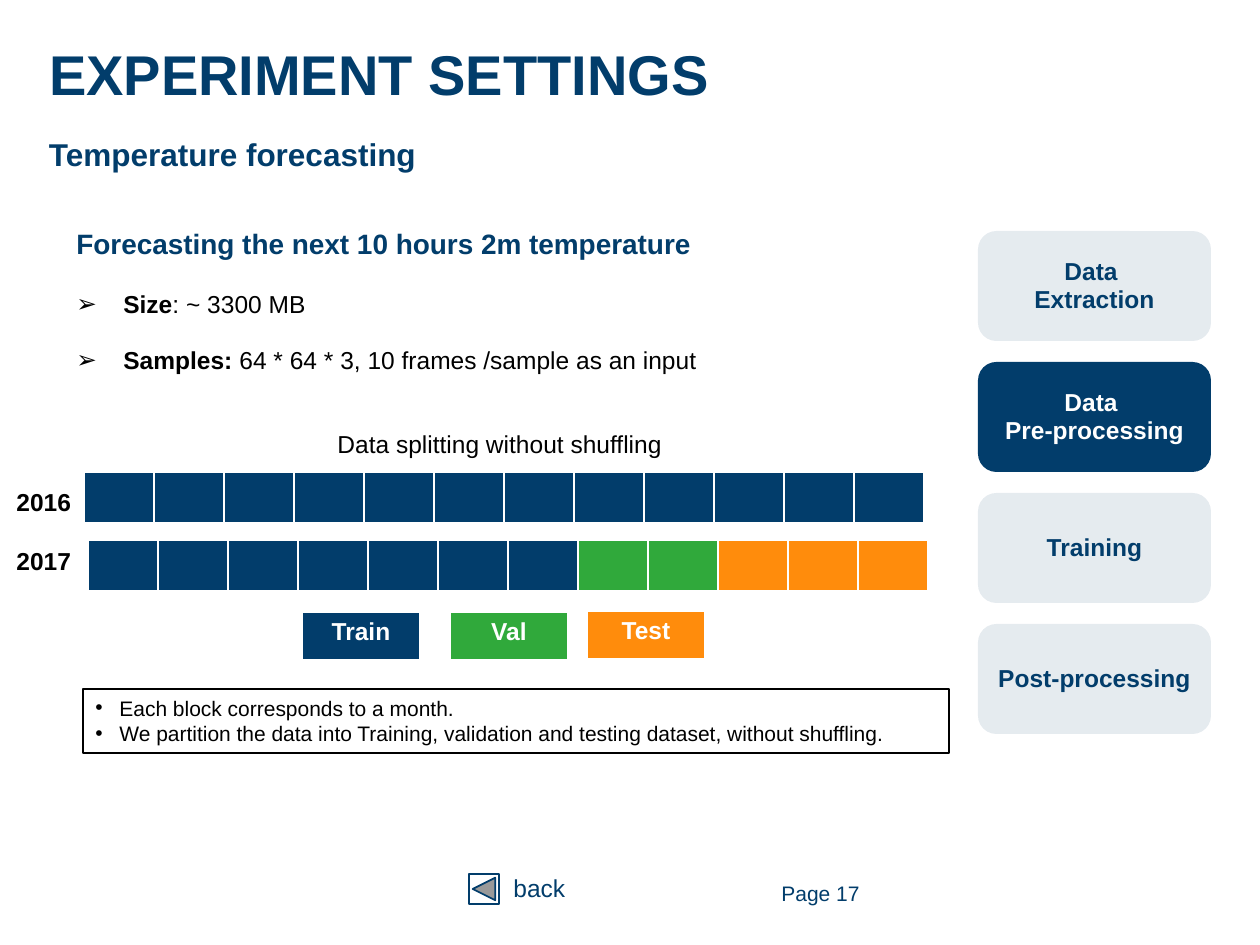
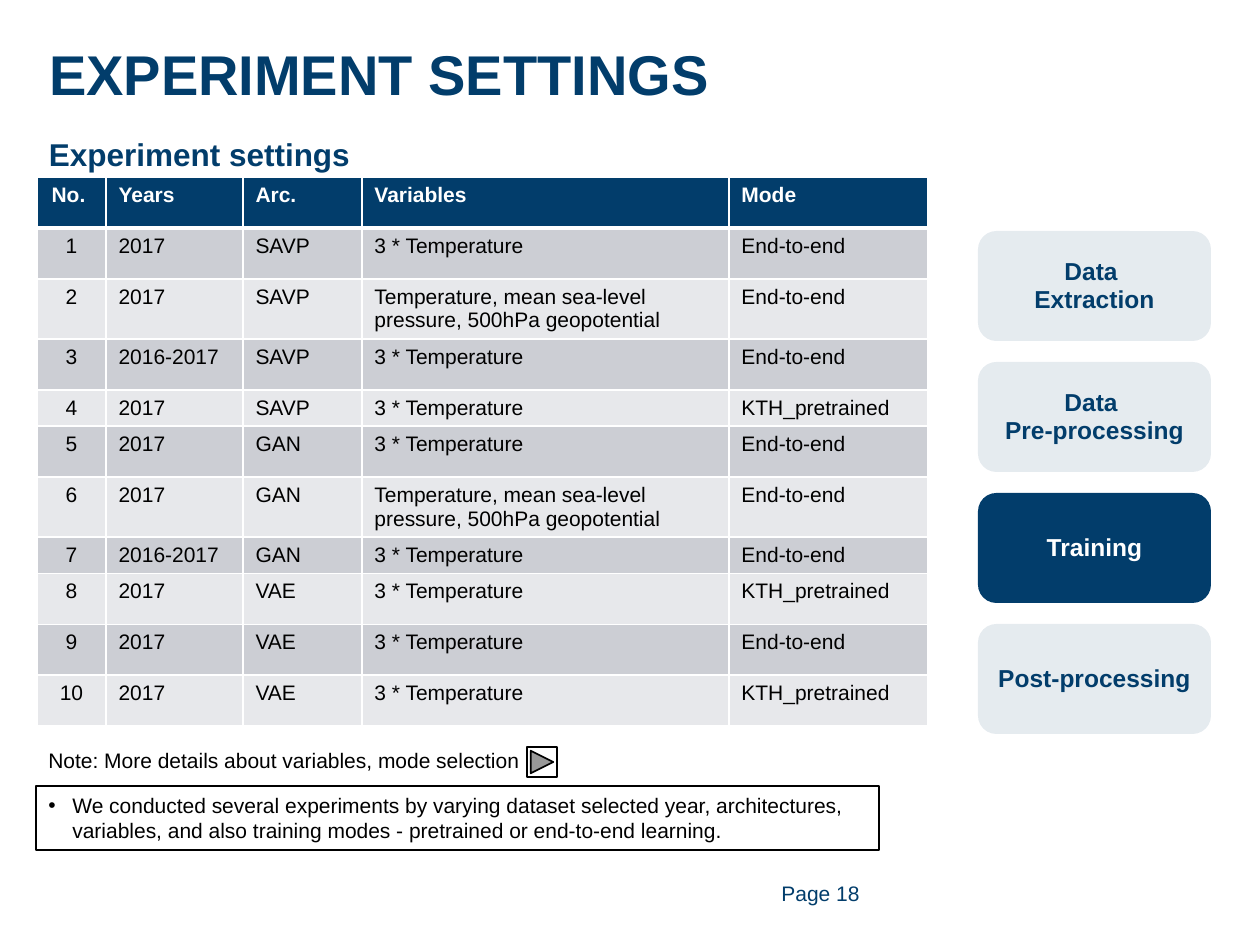
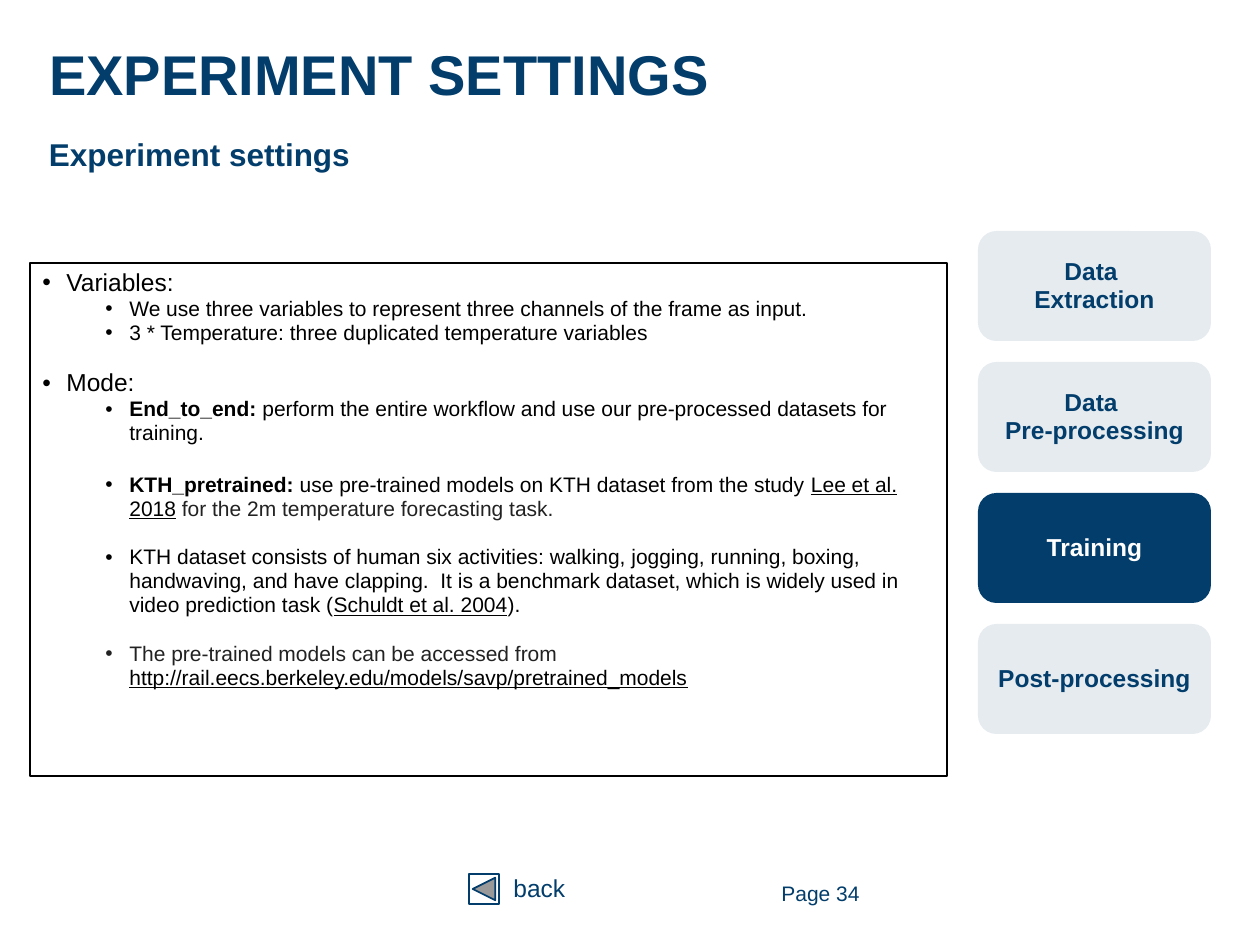
from lxml.etree import SubElement
from pptx import Presentation
from pptx.dml.color import RGBColor
from pptx.enum.shapes import MSO_SHAPE as Preset
from pptx.enum.text import MSO_ANCHOR as Anchor, MSO_AUTO_SIZE as AutoSize, PP_ALIGN as Align
from pptx.oxml.ns import qn
from pptx.util import Emu, Pt

COLORS = {
    "navy": "023D6B", "green": "30A93B", "orange": "FF8C0C", "white": "FFFFFF",
    "black": "000000", "gray": "222222", "band_dark": "CCCED4", "band_light": "E7E8EB",
}
FONT = "Arial"
STEPS = [["Data ", "Extraction"], ["Data ", "Pre-processing"], ["Training"], ["Post-processing"]]
THREE_TEMPERATURES = "3 * Temperature"
THREE_VARIABLES = "Temperature, mean sea-level pressure, 500hPa geopotential"
EXPERIMENTS = [
    ["No. ", "Years", "Arc.", "Variables", "Mode"],
    ["1", "2017", "SAVP", THREE_TEMPERATURES, "End-to-end"],
    ["2", "2017", "SAVP", THREE_VARIABLES, "End-to-end"],
    ["3", "2016-2017", "SAVP", THREE_TEMPERATURES, "End-to-end"],
    ["4", "2017", "SAVP", THREE_TEMPERATURES, "KTH_pretrained"],
    ["5", "2017", "GAN", THREE_TEMPERATURES, "End-to-end"],
    ["6", "2017", "GAN", THREE_VARIABLES, "End-to-end"],
    ["7", "2016-2017", "GAN", THREE_TEMPERATURES, "End-to-end"],
    ["8", "2017", "VAE", THREE_TEMPERATURES, "KTH_pretrained"],
    ["9", "2017", "VAE", THREE_TEMPERATURES, "End-to-end"],
    ["10", "2017", "VAE", THREE_TEMPERATURES, "KTH_pretrained"],
]


def px(length):
    """Turn pixels, 126 to the inch, into EMU."""
    return Emu(round(length * 914400 / 126))


def rgb(name):
    """Look up a named colour."""
    return RGBColor.from_string(COLORS[name])


def set_bullet(para, bullet, indent, hanging):
    """Give a paragraph a bullet with a hanging indent."""
    props = para._p.get_or_add_pPr()
    props.set("marL", str(px(indent)))
    props.set("indent", str(-px(hanging)))
    SubElement(props, qn("a:buFont"), typeface=FONT)
    SubElement(props, qn("a:buChar"), char=bullet)


def add_text(frame, text, size=14, color="black", bold=False, align=Align.LEFT, spacing=0.95,
             before=0, bullet=None, indent=24, hanging=24, level=0):
    """Write one paragraph; text is a string or a list of (string, format) spans."""
    para = frame.paragraphs[0] if not frame.text else frame.add_paragraph()
    para.level = level
    if bullet:
        set_bullet(para, bullet, indent, hanging)
    para.alignment = align
    para.line_spacing = spacing
    para.space_before = Pt(before)
    for words, style in [(text, {})] if isinstance(text, str) else text:
        span = para.add_run()
        span.text = words
        span.font.name = FONT
        span.font.size = Pt(size)
        span.font.bold = style.get("bold", bold)
        span.font.underline = style.get("underline", False)
        span.font.color.rgb = rgb(style.get("color", color))


def prepare_frame(shape, anchor=Anchor.TOP, inset=None):
    """Make a shape's text wrap inside a fixed frame and return the frame."""
    frame = shape.text_frame
    frame.word_wrap = True
    frame.auto_size = AutoSize.NONE
    frame.vertical_anchor = anchor
    if inset is not None:
        frame.margin_left = frame.margin_top = frame.margin_right = frame.margin_bottom = px(inset)
    return frame


def add_box(slide, left, top, width, height, anchor=Anchor.TOP, inset=None):
    """Add a text box and return its frame."""
    box = slide.shapes.add_textbox(px(left), px(top), px(width), px(height))
    return prepare_frame(box, anchor, inset)


def add_preset(slide, preset, left, top, width, height, fill=None, line=None, weight=1.0):
    """Add a flat preset shape."""
    shape = slide.shapes.add_shape(preset, px(left), px(top), px(width), px(height))
    shape.shadow.inherit = False
    if fill:
        shape.fill.solid()
        shape.fill.fore_color.rgb = rgb(fill)
    else:
        shape.fill.background()
    if line:
        shape.line.color.rgb = rgb(line)
        shape.line.width = Pt(weight)
    else:
        shape.line.fill.background()
    return shape


def add_outlined_box(slide, left, top, width, height):
    """Add a thin black frame for notes and return its text frame."""
    shape = add_preset(slide, Preset.RECTANGLE, left, top, width, height, line="black", weight=0.75)
    return prepare_frame(shape)


def add_steps(slide, active):
    """Draw the workflow steps down the right side, with one highlighted."""
    for index, lines in enumerate(STEPS):
        step = add_preset(slide, Preset.ROUNDED_RECTANGLE, 978, 231 + 131 * index, 233, 110, "navy")
        if index != active:
            tint = step.fill._xPr.find(qn("a:solidFill")).find(qn("a:srgbClr"))
            SubElement(tint, qn("a:alpha"), val="10000")
        frame = prepare_frame(step, Anchor.MIDDLE)
        for line in lines:
            add_text(frame, line, color="white" if index == active else "navy", bold=True,
                     align=Align.CENTER)


def style_cell(cell, fill, bottom):
    """Give a table cell white borders and a solid fill."""
    props = cell._tc.get_or_add_tcPr()
    for side, weight in (("L", 1), ("R", 1), ("T", 1), ("B", bottom)):
        border = SubElement(props, qn(f"a:ln{side}"), w=str(Pt(weight)))
        paint = SubElement(border, qn("a:solidFill"))
        SubElement(paint, qn("a:srgbClr"), val=COLORS["white"])
    cell.fill.solid()
    cell.fill.fore_color.rgb = rgb(fill)


def add_grid(slide, left, top, widths, heights, fills):
    """Add a table whose cells take their colours from rows of fills."""
    table = slide.shapes.add_table(len(heights), len(widths), px(left), px(top),
                                   px(sum(widths)), px(sum(heights))).table
    table.first_row = table.horz_banding = False
    for column, width in zip(table.columns, widths):
        column.width = px(width)
    for row, height in zip(table.rows, heights):
        row.height = px(height)
    for row_index, row_fills in enumerate(fills):
        for column_index, fill in enumerate(row_fills):
            style_cell(table.cell(row_index, column_index), fill, 1 if row_index else 3)
    return table


def add_back(slide):
    """Add the back button and its label."""
    add_preset(slide, Preset.ACTION_BUTTON_BACK_OR_PREVIOUS, 469, 874, 30, 30, "white", "navy")
    add_text(add_box(slide, 501, 869, 84, 40), "back", color="navy")


def add_page(deck, subtitle, number, active):
    """Start a slide with title, subtitle, workflow steps and page number."""
    slide = deck.slides.add_slide(deck.slide_layouts[5])
    title = slide.shapes.title
    title.left, title.top, title.width, title.height = px(49), px(44), px(1160), px(155)
    add_text(prepare_frame(title, inset=0), "EXPERIMENT SETTINGS", size=32, color="navy", bold=True)
    add_text(add_box(slide, 49, 130, 1160, 71, inset=0), subtitle, size=18, color="navy",
             bold=True, spacing=1.14)
    add_steps(slide, active)
    add_text(add_box(slide, 741, 868, 131, 50, Anchor.MIDDLE), f"Page {number}", size=12,
             color="navy", align=Align.RIGHT, spacing=1.0)
    return slide


def build_splitting(deck):
    """Show how the months are split into three data sets."""
    slide = add_page(deck, "Temperature forecasting", 17, active=1)
    add_text(add_box(slide, 64, 223, 891, 45), "Forecasting the next 10 hours 2m temperature",
             size=16, color="navy", bold=True)
    facts = add_box(slide, 64, 285, 843, 97)
    arrow = {"bullet": "➢", "indent": 47, "hanging": 47}
    add_text(facts, [("Size", {"bold": True}), (": ~ 3300 MB", {})], **arrow)
    add_text(facts, [("Samples: ", {"bold": True}),
                     ("64 * 64 * 3, 10 frames /sample as an input", {})], before=16, **arrow)
    add_text(add_box(slide, 325, 423, 362, 43), "Data splitting without shuffling", spacing=1.0)

    split = ["navy"] * 7 + ["green"] * 2 + ["orange"] * 3
    for year, label_top, left, top, months in (("2016", 483, 84, 472, ["navy"] * 12),
                                               ("2017", 542, 88, 540, split)):
        add_text(add_box(slide, 4, label_top, 84, 40), year, bold=True)
        add_grid(slide, left, top, [70] * 12, [52], [months])
    for name, left, top, fill in (("Train", 302, 612, "navy"), ("Val", 450, 612, "green"),
                                  ("Test", 587, 611, "orange")):
        legend = add_grid(slide, left, top, [118], [49], [[fill]])
        add_text(legend.cell(0, 0).text_frame, name, color="white", bold=True,
                 align=Align.CENTER, spacing=1.0)

    notes = add_outlined_box(slide, 83, 689, 866, 64)
    for note in ("Each block corresponds to a month.",
                 "We partition the data into Training, validation and testing dataset, "
                 "without shuffling."):
        add_text(notes, note, size=12, spacing=1.0, bullet="•")
    add_back(slide)


def build_experiments(deck):
    """List the experiments in a banded table."""
    slide = add_page(deck, "Experiment settings", 18, active=2)
    bands = ["navy"] + ["band_dark", "band_light"] * 5
    table = add_grid(slide, 37, 177, [69, 137, 119, 367, 199],
                     [51, 51, 60, 51, 36, 51, 60, 36, 51, 51, 51], [[band] * 5 for band in bands])
    for row_index, row in enumerate(EXPERIMENTS):
        header = row_index == 0
        for column_index, value in enumerate(row):
            add_text(table.cell(row_index, column_index).text_frame, value, size=12,
                     color="white" if header else "black", bold=header, spacing=1.0,
                     align=Align.LEFT if column_index else Align.CENTER)
    add_text(add_outlined_box(slide, 36, 786, 843, 64),
             "We conducted several experiments by varying dataset selected year, architectures, "
             "variables, and also training modes - pretrained or end-to-end learning.",
             size=12, spacing=1.0, bullet="•")
    add_text(add_box(slide, 36, 743, 506, 37),
             "Note: More details about variables, mode selection", size=12)
    add_preset(slide, Preset.ACTION_BUTTON_FORWARD_OR_NEXT, 527, 747, 30, 30, "white", "black")


def build_details(deck):
    """Explain the variables and the training modes."""
    slide = add_page(deck, "Experiment settings", 34, active=2)
    add_back(slide)
    frame = add_outlined_box(slide, 30, 263, 917, 513)
    strong, cited, soft = {"bold": True}, {"underline": True}, {"color": "gray"}
    detail = {"size": 12, "bullet": "•", "indent": 87, "level": 1}
    add_text(frame, "Variables:", bullet="•")
    add_text(frame, "We use three variables to represent three channels of the frame as input.",
             **detail)
    add_text(frame, "3 * Temperature: three duplicated temperature variables", **detail)
    add_text(frame, "Mode:", bullet="•", before=14)
    for before, spans in (
        (0, [("End_to_end: ", strong),
             ("perform the entire workflow and use our pre-processed datasets for training.", {})]),
        (16, [("KTH_pretrained: ", strong),
              ("use pre-trained models on KTH dataset from the study ", {}),
              ("Lee et al. 2018", cited),
              (" for the 2m temperature forecasting task.", soft)]),
        (14, [("KTH dataset consists of human six activities: walking, jogging, running, boxing, "
               "handwaving, and have clapping.  It is a benchmark dataset, which is widely used "
               "in video prediction task (", {}),
              ("Schuldt et al. 2004", cited), (").", {})]),
        (14, [("The pre-trained models can be accessed from ", soft),
              ("http://rail.eecs.berkeley.edu/models/savp/pretrained_models", cited)]),
    ):
        add_text(frame, spans, before=before, **detail)


def main():
    """Build and save the deck."""
    deck = Presentation()
    deck.slide_width, deck.slide_height = px(1260), px(945)
    build_splitting(deck)
    build_experiments(deck)
    build_details(deck)
    deck.save("out.pptx")


if __name__ == "__main__":
    main()
